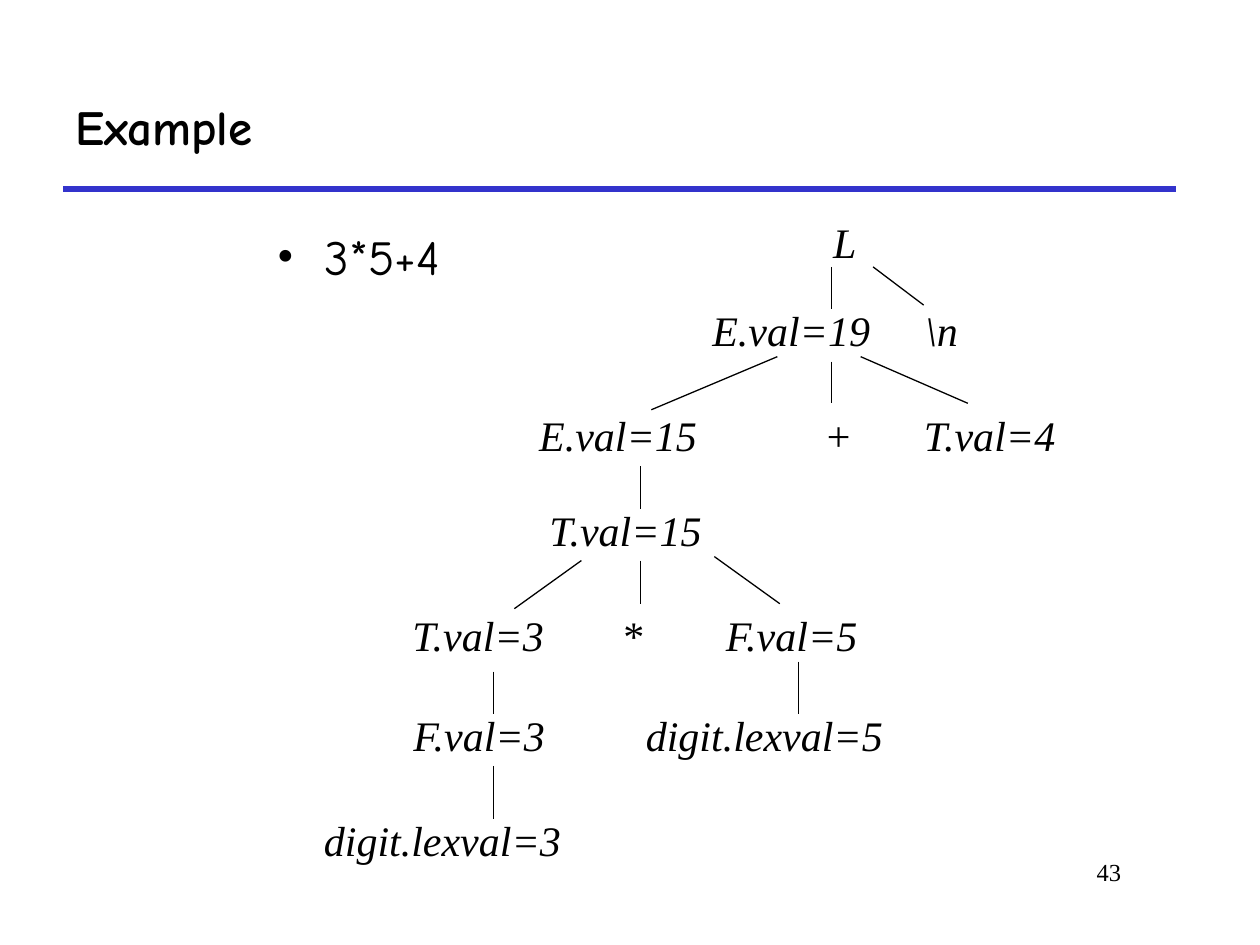
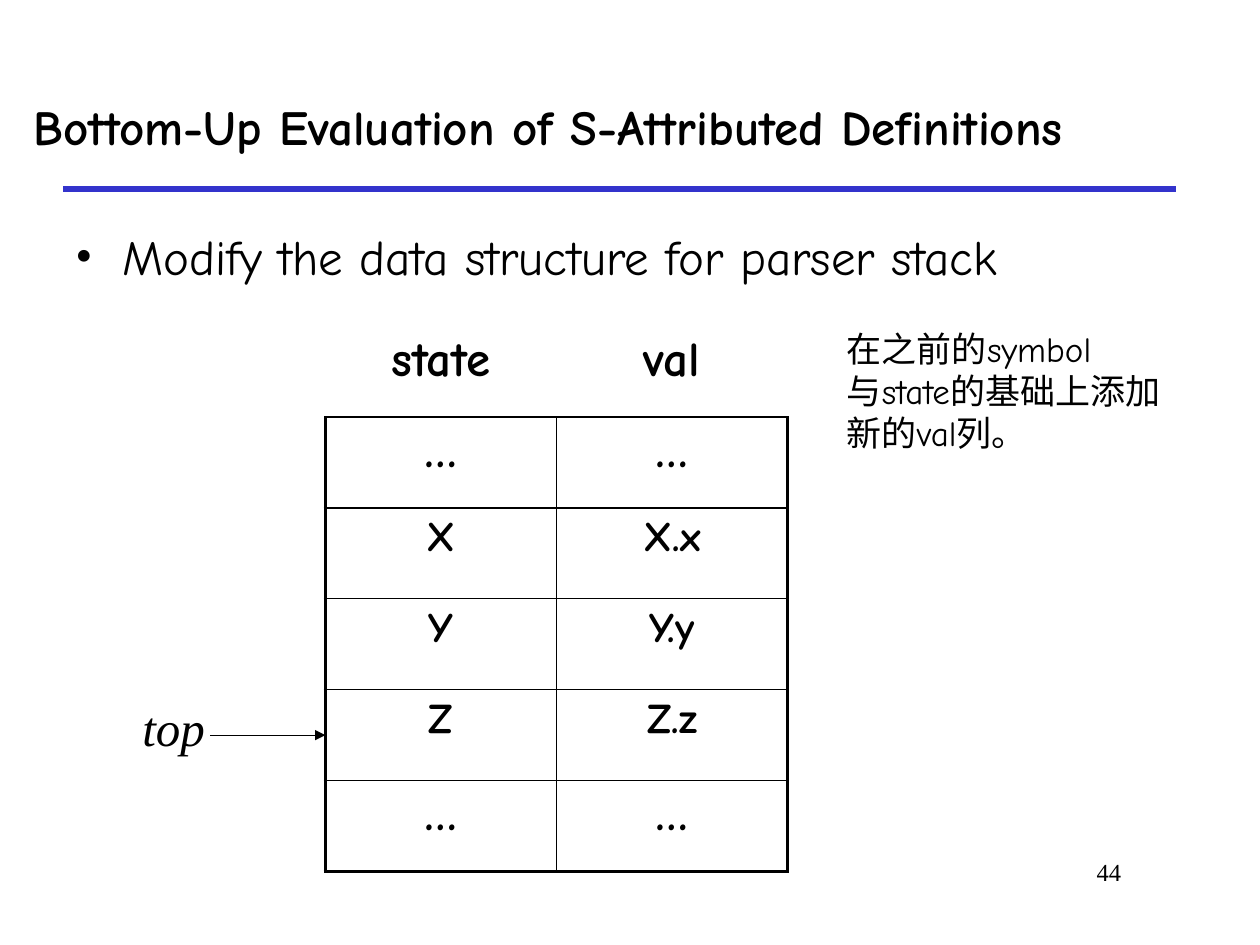
from lxml import etree
from pptx import Presentation
from pptx.dml.color import RGBColor
from pptx.enum import shapes, text
from pptx.oxml import ns
from pptx.util import Cm, Pt

BLACK, BLUE = "000000", "3333CC"
COMIC, TIMES = "Comic Neue", "Times New Roman"
CENTER, RIGHT = text.PP_ALIGN.CENTER, text.PP_ALIGN.RIGHT

# Tree levels: top of the level, then (label, centre, width) of each node
TREE_LEVELS = [
    (4.24, [("L", 17.03, 1.07)]),
    (6.02, [("E.val=19", 15.95, 3.74), ("\\n", 18.98, 1.17)]),
    (8.13, [("E.val=15", 12.46, 3.74), ("+", 16.86, 0.99), ("T.val=4", 19.95, 3.3)]),
    (10.04, [("T.val=15", 12.61, 3.74)]),
    (12.17, [("T.val=3", 9.64, 3.3), ("*", 12.74, 0.94), ("F.val=5", 15.96, 3.3)]),
    (14.17, [("F.val=3", 9.66, 3.3), ("digit.lexval=5", 15.41, 5.36)]),
    (16.3, [("digit.lexval=3", 8.92, 5.36)]),
]
BRANCHES = [
    (16.76, 5.38, 16.76, 6.22), (17.6, 5.38, 18.62, 6.15),
    (15.67, 7.19, 13.13, 8.26), (16.76, 7.29, 16.76, 8.13), (17.35, 7.19, 19.51, 8.13),
    (12.91, 9.4, 12.91, 10.26),
    (11.72, 11.3, 10.37, 12.27), (12.91, 11.3, 12.91, 12.17), (14.4, 11.22, 15.72, 12.17),
    (9.95, 13.54, 9.95, 14.4), (16.09, 13.34, 16.09, 14.4),
    (9.95, 15.44, 9.95, 16.51),
]
STACK_ROWS = [("state", "val"), ("…", "…"), ("X", "X.x"),
              ("Y", "Y.y"), ("Z", "Z.z"), ("…", "…")]
STACK_LEFT, STACK_TOP, STACK_WIDTH, STACK_HEIGHT = 6.56, 6.57, 9.32, 11
THIN, THICK = 1, 2.25


def color(hex_string):
    return RGBColor.from_string(hex_string)


def write(frame, content, font=COMIC, size=28, bold=False, italic=False,
          align=None, bullet=False):
    """Fill a text frame with one formatted paragraph per line of content."""
    frame.text = content
    for paragraph in frame.paragraphs:
        if bullet:
            properties = paragraph._p.get_or_add_pPr()
            properties.set("marL", str(Cm(0.96)))
            properties.set("indent", str(-Cm(0.96)))
            etree.SubElement(properties, ns.qn("a:buFont"), typeface=TIMES)
            etree.SubElement(properties, ns.qn("a:buChar"), char="•")
        if align is not None:
            paragraph.alignment = align
        for run in paragraph.runs:
            run.font.name = font
            run.font.size = Pt(size)
            run.font.bold = bold
            run.font.italic = italic
            run.font.color.rgb = color(BLACK)


def add_text(slide, content, left, top, width, height, wrap=True,
             anchor=text.MSO_ANCHOR.TOP, **style):
    box = slide.shapes.add_textbox(Cm(left), Cm(top), Cm(width), Cm(height))
    frame = box.text_frame
    frame.word_wrap = wrap
    frame.vertical_anchor = anchor
    if not wrap:
        frame.auto_size = text.MSO_AUTO_SIZE.SHAPE_TO_FIT_TEXT
    write(frame, content, **style)


def add_line(slide, x1, y1, x2, y2, line_color=BLACK, width=0.75, arrow=False):
    line = slide.shapes.add_connector(
        shapes.MSO_CONNECTOR.STRAIGHT, Cm(x1), Cm(y1), Cm(x2), Cm(y2))
    line.line.color.rgb = color(line_color)
    line.line.width = Pt(width)
    if arrow:
        etree.SubElement(line.line._get_or_add_ln(), ns.qn("a:tailEnd"), type="triangle")
    etree.SubElement(line._element.spPr, ns.qn("a:effectLst"))


def add_slide(presentation, title, number, title_left, title_width):
    """Add a blank slide with the shared title, rule and page number."""
    slide = presentation.slides.add_slide(presentation.slide_layouts[6])
    add_line(slide, 1.27, 3.81, 23.7, 3.81, BLUE, 3)
    add_text(slide, title, title_left, 1.27, title_width, 2.54,
             anchor=text.MSO_ANCHOR.MIDDLE, bold=True)
    add_text(slide, str(number), 17.57, 17.15, 5.28, 1.27,
             font=TIMES, size=14, align=RIGHT)
    return slide


def add_bullet(slide, content, left, width):
    add_text(slide, content, left, 4.45, width, 1.7, bullet=True)


def set_borders(cell, **widths):
    """Draw borders; widths are points under the keys L, R, T and B."""
    properties = cell._tc.get_or_add_tcPr()
    for side in "LRTB":
        if side in widths:
            line = etree.SubElement(properties, ns.qn(f"a:ln{side}"),
                                    w=str(Pt(widths[side])))
            fill = etree.SubElement(line, ns.qn("a:solidFill"))
            etree.SubElement(fill, ns.qn("a:srgbClr"), val=BLACK)


def add_stack_table(slide):
    row_count, column_count = len(STACK_ROWS), len(STACK_ROWS[0])
    table = slide.shapes.add_table(
        row_count, column_count, Cm(STACK_LEFT), Cm(STACK_TOP),
        Cm(STACK_WIDTH), Cm(STACK_HEIGHT)).table
    table.first_row = table.horz_banding = False
    for row, labels in enumerate(STACK_ROWS):
        for column, label in enumerate(labels):
            cell = table.cell(row, column)
            size = 28 if row == 0 or label == "…" else 24
            write(cell.text_frame, label, size=size, bold=True, align=CENTER)
            if row == 0:
                set_borders(cell, B=THIN)
            else:
                set_borders(cell, T=THIN,
                            L=THICK if column == 0 else THIN,
                            R=THICK if column == column_count - 1 else THIN,
                            B=THICK if row == row_count - 1 else THIN)
            cell.fill.background()


def build_tree_slide(presentation):
    slide = add_slide(presentation, "Example", 43, 1.27, 22.43)
    add_bullet(slide, "3*5+4", 5.33, 6.55)
    for top, nodes in TREE_LEVELS:
        for label, center, width in nodes:
            add_text(slide, label, center - width / 2, top, width, 1.27, wrap=False,
                     font=TIMES, size=24, italic=True, align=CENTER)
    for branch in BRANCHES:
        add_line(slide, *branch)


def build_stack_slide(presentation):
    slide = add_slide(presentation, "Bottom-Up Evaluation of S-Attributed Definitions",
                      44, 0.43, 24.77)
    add_bullet(slide, "Modify the data structure for parser stack", 1.27, 23.06)
    add_stack_table(slide)
    add_text(slide, "top", 2.56, 13.94, 1.88, 1.45, wrap=False,
             font=TIMES, italic=True, align=CENTER)
    top_row = STACK_ROWS.index(("Z", "Z.z"))
    arrow_y = STACK_TOP + (top_row + 0.5) * STACK_HEIGHT / len(STACK_ROWS)
    add_line(slide, 4.24, arrow_y, STACK_LEFT, arrow_y, arrow=True)
    add_text(slide, "在之前的symbol\n与state的基础上添加\n新的val列。",
             16.82, 6.48, 7.21, 2.82, wrap=False, size=20)


def main():
    presentation = Presentation()
    presentation.slide_width, presentation.slide_height = Cm(25.4), Cm(19.05)
    build_tree_slide(presentation)
    build_stack_slide(presentation)
    presentation.save("out.pptx")


if __name__ == "__main__":
    main()
